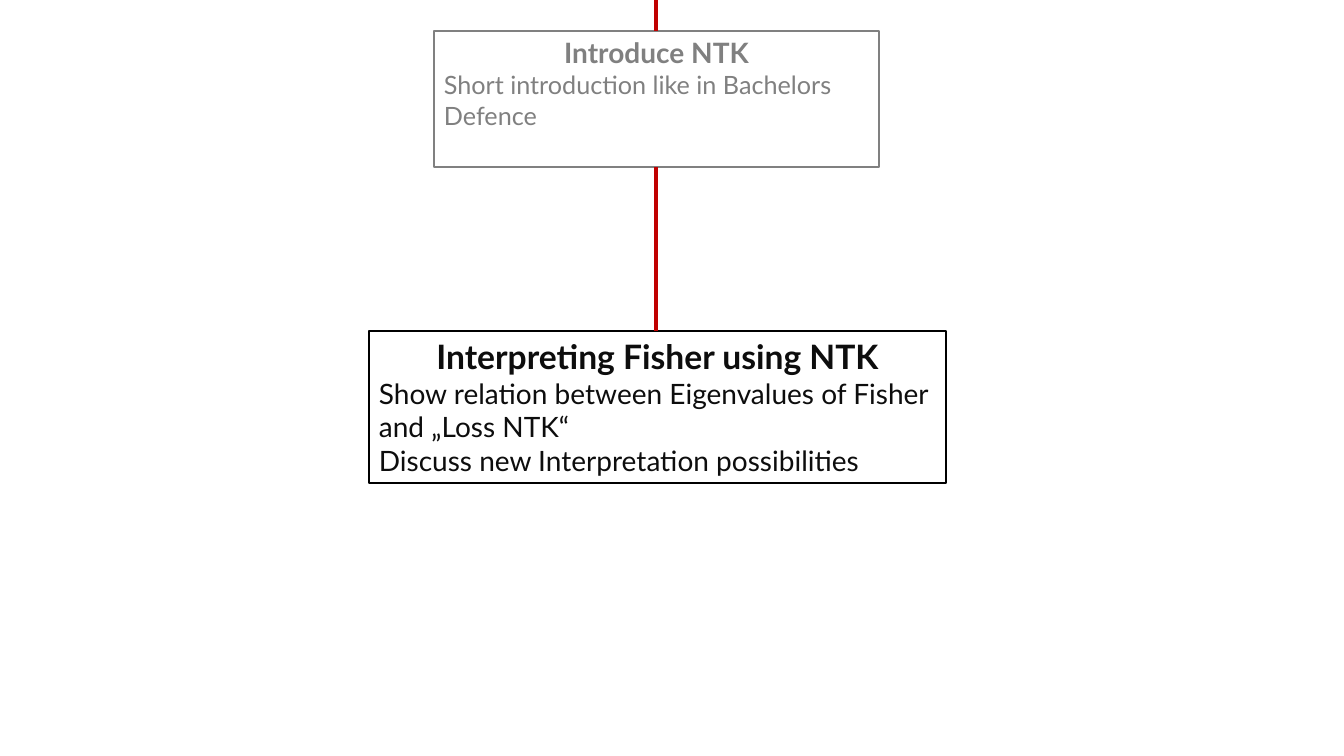
from pptx import Presentation
from pptx.dml.color import RGBColor
from pptx.enum.shapes import MSO_CONNECTOR, MSO_SHAPE
from pptx.enum.text import MSO_ANCHOR, PP_ALIGN
from pptx.util import Pt
from lxml.etree import SubElement
from pptx.oxml.ns import qn

WHITE = RGBColor(0xFF, 0xFF, 0xFF)
GREY = RGBColor(0x80, 0x80, 0x80)
BLACK = RGBColor(0, 0, 0)
INK = RGBColor(0x0D, 0x0D, 0x0D)
RED = RGBColor(0xC0, 0, 0)

# Content: one step per box, top to bottom
STEPS = [
    dict(title="Introduce NTK",
         body=["Short introduction like in Bachelors Defence"],
         box=(434, 31, 445, 136), border=GREY, color=GREY, sizes=(20, 18)),
    dict(title="Interpreting Fisher using NTK",
         body=["Show relation between Eigenvalues of Fisher and „Loss NTK“",
               "Discuss new Interpretation possibilities"],
         box=(369, 331, 577, 152), border=BLACK, color=INK, sizes=(24, 20)),
]
SPINE_X = 656


def px(n):
    return round(n * 914400 / 100.8)


prs = Presentation()
prs.slide_width, prs.slide_height = px(1344), px(756)
s = prs.slides.add_slide(prs.slide_layouts[6])


def add_box(step):
    sp = s.shapes.add_shape(MSO_SHAPE.RECTANGLE, *map(px, step["box"]))
    sp.shadow.inherit = False
    sp.fill.solid()
    sp.fill.fore_color.rgb = WHITE
    sp.line.color.rgb = step["border"]
    sp.line.width = Pt(2)
    tf = sp.text_frame
    tf.word_wrap = True
    tf.vertical_anchor = MSO_ANCHOR.TOP
    title_size, body_size = step["sizes"]
    for i, text in enumerate([step["title"], *step["body"]]):
        is_title = i == 0
        p = tf.paragraphs[0] if is_title else tf.add_paragraph()
        p.alignment = PP_ALIGN.CENTER if is_title else PP_ALIGN.LEFT
        r = p.add_run()
        r.text = text
        font = dict(name="Lato", bold=is_title,
                    size=Pt(title_size if is_title else body_size))
        for key, value in font.items():
            setattr(r.font, key, value)
        r.font.color.rgb = step["color"]


def add_link(top, bottom):
    ln = s.shapes.add_connector(MSO_CONNECTOR.STRAIGHT, px(SPINE_X), px(top),
                                px(SPINE_X), px(bottom))
    ln.line.color.rgb = RED
    ln.line.width = Pt(2.5)
    SubElement(ln._element.spPr, qn("a:effectLst"))


# Each box is linked to the one above, the first to the slide's top edge
above = 0
for step in STEPS:
    _, top, _, height = step["box"]
    add_box(step)
    add_link(above, top)
    above = top + height

prs.save("out.pptx")
